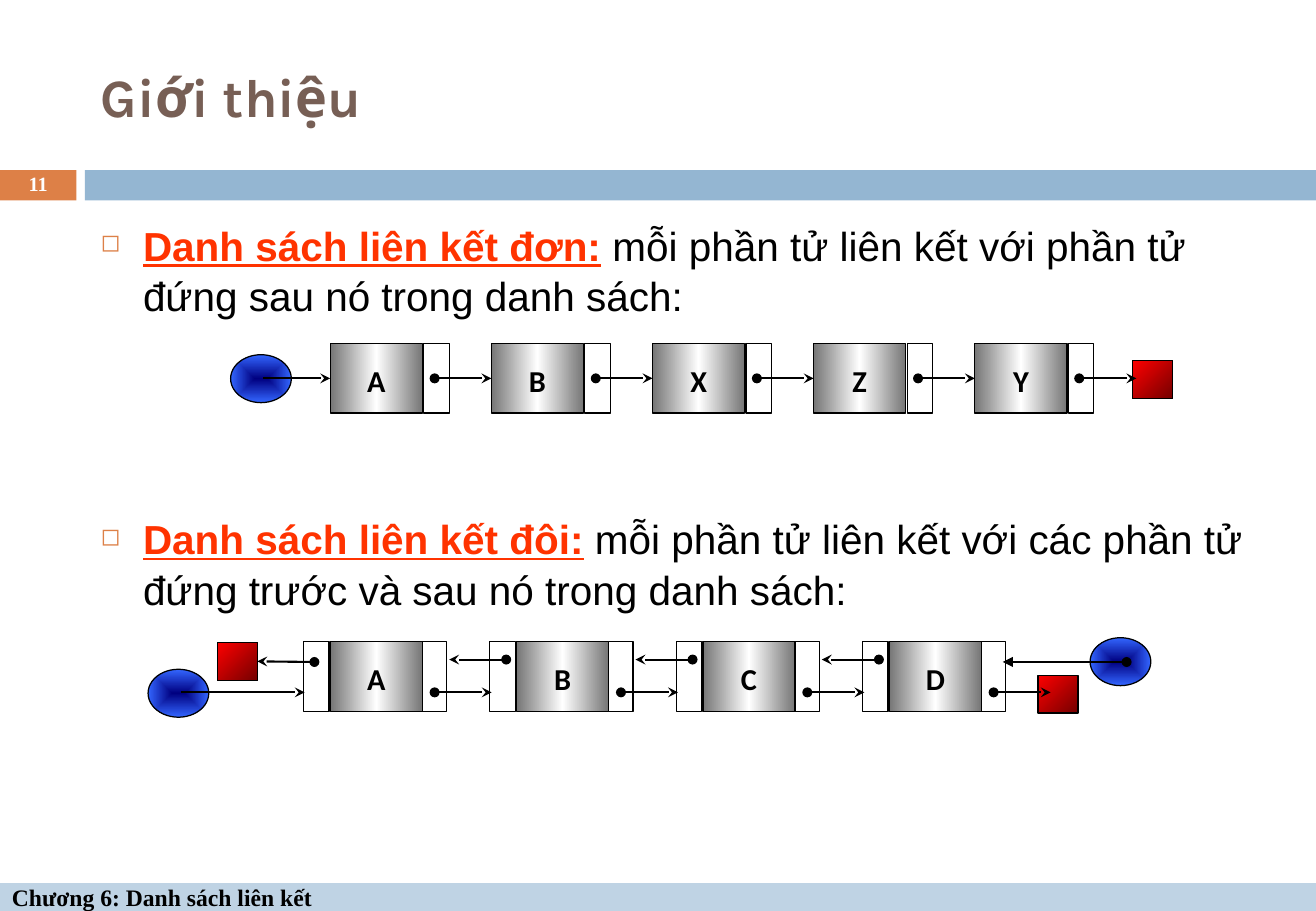
from pptx import Presentation
from pptx.dml.color import RGBColor
from pptx.enum.shapes import MSO_CONNECTOR, MSO_SHAPE
from pptx.enum.text import MSO_ANCHOR, PP_ALIGN
from pptx.oxml import parse_xml
from pptx.oxml.ns import nsdecls, qn
from pptx.util import Inches, Pt

COLUMNS, ROWS = 1084, 750
LEFT_SIDE, RIGHT_SIDE = 1, 3

METAL = ([(0, "767676"), (50, "FFFFFF"), (100, "767676")], '<a:lin ang="0" scaled="1"/>')
RED = ([(0, "FF0000"), (100, "760000")], '<a:lin ang="2700000" scaled="1"/>')
BLUE = (
    [(0, "000080"), (100, "3366FF")],
    '<a:path path="rect"><a:fillToRect l="50000" t="50000" r="50000" b="50000"/></a:path>',
)


def color(value):
    return RGBColor.from_string(value)


def drawing(tag, attributes="", content=""):
    return parse_xml(f'<a:{tag} {nsdecls("a")} {attributes}>{content}</a:{tag}>')


class SlideBuilder:
    black, white, accent, band = "000000", "FFFFFF", "DD8047", "94B6D2"
    footer_band, title_color, term_color = "BFD3E4", "775F55", "FF3300"

    def __init__(self, presentation):
        self.column = presentation.slide_width / COLUMNS
        self.row = presentation.slide_height / ROWS
        self.slide = presentation.slides.add_slide(presentation.slide_layouts[5])

    def place(self, left, top, width, height):
        return (round(left * self.column), round(top * self.row),
                round(width * self.column), round(height * self.row))

    def set_text(self, shape, text, font_name, size, text_color, align=PP_ALIGN.LEFT):
        frame = shape.text_frame
        frame.word_wrap = True
        frame.vertical_anchor = MSO_ANCHOR.MIDDLE
        frame.text = text
        paragraph = frame.paragraphs[0]
        paragraph.alignment = align
        font = paragraph.font
        font.name, font.size, font.bold = font_name, Pt(size), True
        font.color.rgb = color(text_color)
        return paragraph

    def title(self, text, *box):
        shape = self.slide.shapes.title
        shape.left, shape.top, shape.width, shape.height = self.place(*box)
        self.set_text(shape, text, "Karla", 32, self.title_color)

    def box(self, *box, fill=None, gradient=None, outline=True, kind=MSO_SHAPE.RECTANGLE):
        shape = self.slide.shapes.add_shape(kind, *self.place(*box))
        shape.shadow.inherit = False
        if gradient:
            stops, direction = gradient
            stop_list = "".join(
                f'<a:gs pos="{position * 1000}"><a:srgbClr val="{value}"/></a:gs>'
                for position, value in stops
            )
            shape.element.spPr.insert(
                2, drawing("gradFill", content=f"<a:gsLst>{stop_list}</a:gsLst>{direction}"))
        elif fill:
            shape.fill.solid()
            shape.fill.fore_color.rgb = color(fill)
        else:
            shape.fill.background()
        if outline:
            shape.line.color.rgb = color(self.black)
            shape.line.width = Pt(0.75)
        else:
            shape.line.fill.background()
        return shape

    def data_cell(self, letter, *box):
        shape = self.box(*box, gradient=METAL)
        frame = shape.text_frame
        frame.margin_left = frame.margin_right = frame.margin_bottom = 0
        frame.margin_top = Inches(0.03)
        self.set_text(shape, letter, "Calibri", 18, self.black, PP_ALIGN.CENTER)
        return shape

    def pointer(self, left, top):
        self.box(left, top, 50, 39.5, gradient=BLUE, kind=MSO_SHAPE.OVAL)

    def end_mark(self, left, top):
        return self.box(left, top, 33, 31, gradient=RED)

    def arrow(self, start, end, row, target=None, side=LEFT_SIDE, dot=True, tip="stealth"):
        left, top, right, bottom = self.place(start, row, end, row)
        connector = self.slide.shapes.add_connector(
            MSO_CONNECTOR.STRAIGHT, left, top, right, bottom)
        if target is not None:
            connector.end_connect(target, side)
        connector.line.color.rgb = color(self.black)
        connector.line.width = Pt(1.25)
        properties = connector.element.spPr
        line = properties.find(qn("a:ln"))
        if dot:
            line.append(drawing("headEnd", 'type="oval"'))
        line.append(drawing("tailEnd", f'type="{tip}"'))
        properties.append(drawing("effectLst"))

    def definitions(self, items, gap, *box):
        frame = self.slide.shapes.add_textbox(*self.place(*box)).text_frame
        frame.word_wrap = True
        for index, (term, meaning) in enumerate(items):
            paragraph = frame.add_paragraph() if index else frame.paragraphs[0]
            properties = paragraph._p.get_or_add_pPr()
            properties.set("marL", str(Inches(0.35)))
            properties.set("indent", str(-Inches(0.35)))
            properties.append(drawing("buClr", content=f'<a:srgbClr val="{self.accent}"/>'))
            properties.append(drawing("buSzPct", 'val="60000"'))
            properties.append(drawing("buChar", 'char="◻"'))
            paragraph.line_spacing = Pt(30)
            if index:
                paragraph.space_before = Pt(gap)
            paragraph.font.name, paragraph.font.size = "Arial", Pt(24)
            term_run, meaning_run = paragraph.add_run(), paragraph.add_run()
            term_run.text, meaning_run.text = term, meaning
            term_run.font.bold = term_run.font.underline = True
            term_run.font.color.rgb = color(self.term_color)
            meaning_run.font.color.rgb = color(self.black)

    def frame_bands(self, number, footer):
        number_box = self.box(0, 140, 63, 25, fill=self.accent, outline=False)
        paragraph = self.set_text(
            number_box, number, "Times New Roman", 12, self.white, PP_ALIGN.CENTER)
        paragraph.line_spacing = 0.8
        self.box(70, 140, 1014, 25, fill=self.band, outline=False)
        footer_box = self.box(0, 727, COLUMNS, 23, fill=self.footer_band, outline=False)
        self.set_text(footer_box, footer, "Times New Roman", 14, self.black)

    def single_list(self, letters, left=272, top=283, step=132.75):
        middle = top + 28.5
        self.pointer(190, 292)
        self.end_mark(933, 297)
        cells = []
        for index, letter in enumerate(letters):
            start = left + index * step
            self.box(start + 77, top, 21, 57, fill=self.white)
            cells.append(self.data_cell(letter, start, top, 76, 57))
        self.arrow(217, left, middle, cells[0], dot=False)
        for index, target in enumerate(cells[1:] + [None]):
            start = left + 86 + index * step
            self.arrow(start, start + 47, middle, target)

    def double_list(self, letters, left=250, top=528, step=153.5):
        self.pointer(122, 551)
        self.pointer(898, 525)
        self.end_mark(855, 556)
        first_mark = self.end_mark(179, 529)
        for index, letter in enumerate(letters):
            start = left + index * step
            for offset in (0, 97):
                self.box(start + offset, top, 21, 58)
            self.data_cell(letter, start + 22, top, 76, 58)
            self.arrow(start + 108, start + 155, 570)
            if index:
                self.arrow(start + 13.5, start - 33.5, 543)
        self.arrow(149, 251, 570, dot=False)
        self.arrow(928, 826, 545, tip="triangle")
        self.arrow(259, 212, 545, first_mark, RIGHT_SIDE)


def main():
    presentation = Presentation()
    presentation.slide_width, presentation.slide_height = Inches(10.84), Inches(7.5)
    builder = SlideBuilder(presentation)
    builder.frame_bands("11", "Chương 6: Danh sách liên kết")
    builder.title("Giới thiệu", 73, 25, 966, 108)
    builder.definitions([
        ("Danh sách liên kết đơn:",
         " mỗi phần tử liên kết với phần tử đứng sau nó trong danh sách:"),
        ("Danh sách liên kết đôi:",
         " mỗi phần tử liên kết với các phần tử đứng trước và sau nó trong danh sách:"),
    ], 114, 73, 175, 966, 492)
    builder.single_list("ABXZY")
    builder.double_list("ABCD")
    presentation.save("out.pptx")


if __name__ == "__main__":
    main()
